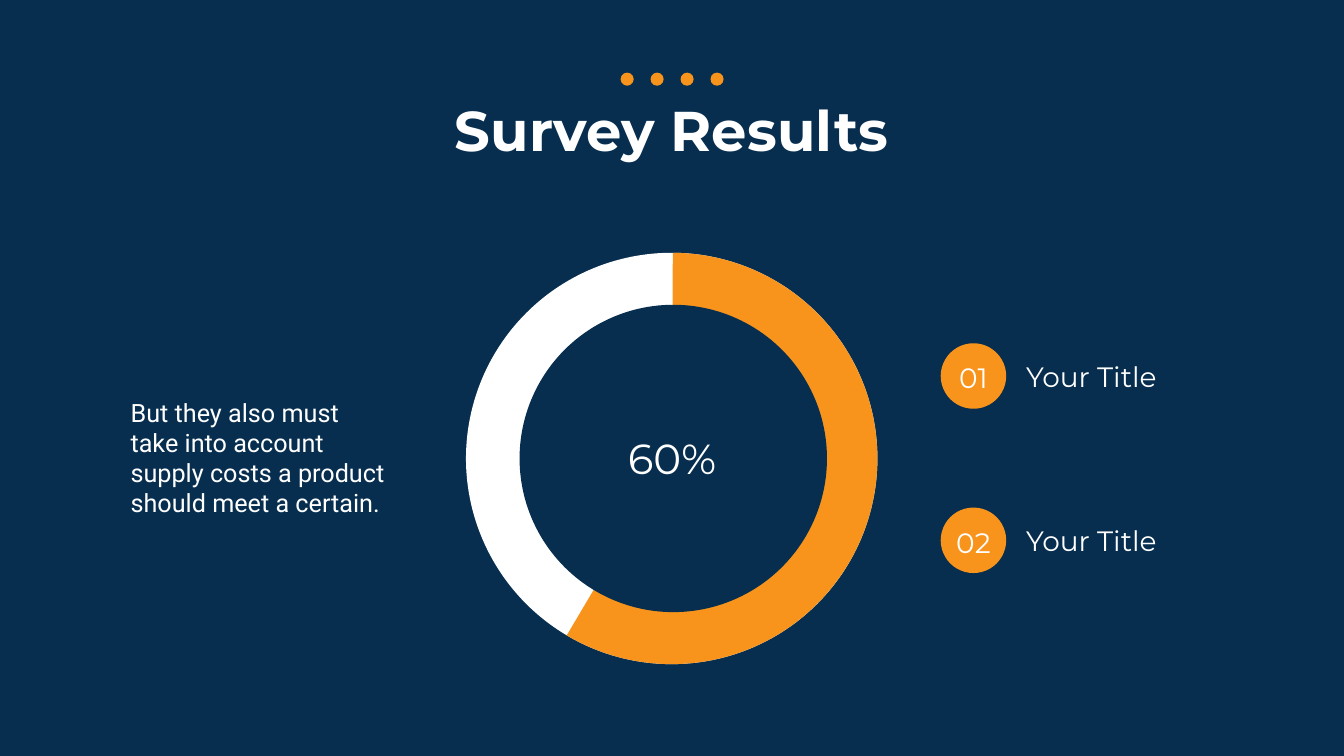
from pptx import Presentation
from pptx import util as u
from pptx.dml.color import RGBColor
from pptx.enum import shapes, text

NAVY, ORANGE, WHITE = "072E4F", "F8941B", "FFFFFF"
HEADING = {"name": "Montserrat", "size": u.Pt(80), "bold": True}
PERCENT = {"name": "Montserrat", "size": u.Pt(60), "bold": False}
LABEL = {"name": "Montserrat", "size": u.Pt(40), "bold": False}
BODY = {"name": "Roboto", "size": u.Pt(36), "bold": False}
LEFT, CENTER = text.PP_ALIGN.LEFT, text.PP_ALIGN.CENTER
OVAL, PIE = shapes.MSO_SHAPE.OVAL, shapes.MSO_SHAPE.PIE


def set_color(color_format, hex_color):
    color_format.rgb = RGBColor.from_string(hex_color)


def fill_solid(fill, hex_color):
    fill.solid()
    set_color(fill.fore_color, hex_color)


def add_round(parent, kind, left, top, size, hex_color):
    """Add an unlined circle or pie with the given diameter in cm."""
    shape = parent.add_shape(kind, u.Cm(left), u.Cm(top), u.Cm(size), u.Cm(size))
    fill_solid(shape.fill, hex_color)
    shape.line.fill.background()
    shape.shadow.inherit = False
    return shape


def write(shape, content, font_format, alignment, margins=(0.25, 0.13)):
    frame = shape.text_frame
    side, end = (u.Cm(margin) for margin in margins)
    frame_format = {
        "word_wrap": True, "auto_size": text.MSO_AUTO_SIZE.NONE,
        "vertical_anchor": text.MSO_ANCHOR.TOP,
        "margin_left": side, "margin_right": side,
        "margin_top": end, "margin_bottom": end,
    }
    for name, value in frame_format.items():
        setattr(frame, name, value)
    paragraph = frame.paragraphs[0]
    paragraph.alignment = alignment
    run = paragraph.add_run()
    run.text = content
    for name, value in font_format.items():
        setattr(run.font, name, value)
    set_color(run.font.color, WHITE)
    return paragraph


def add_text(parent, left, top, width, height, *content, **options):
    box = parent.add_textbox(u.Cm(left), u.Cm(top), u.Cm(width), u.Cm(height))
    return write(box, *content, **options)


def place_title(slide, left, top, width, height):
    title = slide.shapes.title
    box = {"left": left, "top": top, "width": width, "height": height}
    for name, value in box.items():
        setattr(title, name, u.Cm(value))
    paragraph = write(title, "Survey Results", HEADING, CENTER)
    paragraph.line_spacing = 1.0
    paragraph.space_before = u.Pt(0)


def add_dots(slide, left, top, size, pitch, count=4):
    group = slide.shapes.add_group_shape().shapes
    for index in range(count):
        add_round(group, OVAL, left + index * pitch, top, size, ORANGE)


def add_ring(slide, left, top, size):
    group = slide.shapes.add_group_shape().shapes
    add_round(group, OVAL, left, top, size, WHITE)
    share = add_round(group, PIE, left, top, size, ORANGE)
    share.adjustments[0] = 162.19
    share.adjustments[1] = 72.41
    add_round(group, OVAL, left + 2.7, top + 2.62, 15.49, NAVY)
    add_text(group, left + 5.3, top + 8.94, 10.16, 2.82, "60%", PERCENT, CENTER)


def add_description(slide, left, top, width, height):
    paragraph = add_text(
        slide.shapes, left, top, width, height,
        "But they also must take into account supply costs a product "
        "should meet a certain.",
        BODY, LEFT, margins=(0.61, 0.3))
    paragraph.line_spacing = u.Pt(43)


def add_legend(slide, left, top, size, pitch):
    for index, label in enumerate(["Your Title", "Your Title"]):
        row_top = top + index * pitch
        add_round(slide.shapes, OVAL, left, row_top, size, ORANGE)
        add_text(slide.shapes, left + 0.38, row_top + 0.76, size - 0.76, 1.96,
                 f"{index + 1:02}", LABEL, CENTER, margins=(0, 0.13))
        add_text(slide.shapes, left + 4.06, row_top + 0.67, 8.99, 1.96,
                 label, LABEL, LEFT)


def build_survey_slide(presentation):
    slide = presentation.slides.add_slide(presentation.slide_layouts[5])
    fill_solid(slide.background.fill, NAVY)
    place_title(slide, 20.8, 4.67, 26.11, 3.68)
    add_dots(slide, 31.27, 3.66, 0.66, 1.51)
    add_ring(slide, 23.48, 12.74, 20.73)
    add_description(slide, 5.97, 19.74, 14.33, 6.73)
    add_legend(slide, 47.4, 17.3, 3.3, 8.28)


def main():
    presentation = Presentation()
    presentation.slide_width = u.Cm(67.72)
    presentation.slide_height = u.Cm(38.1)
    build_survey_slide(presentation)
    presentation.save("out.pptx")


if __name__ == "__main__":
    main()
